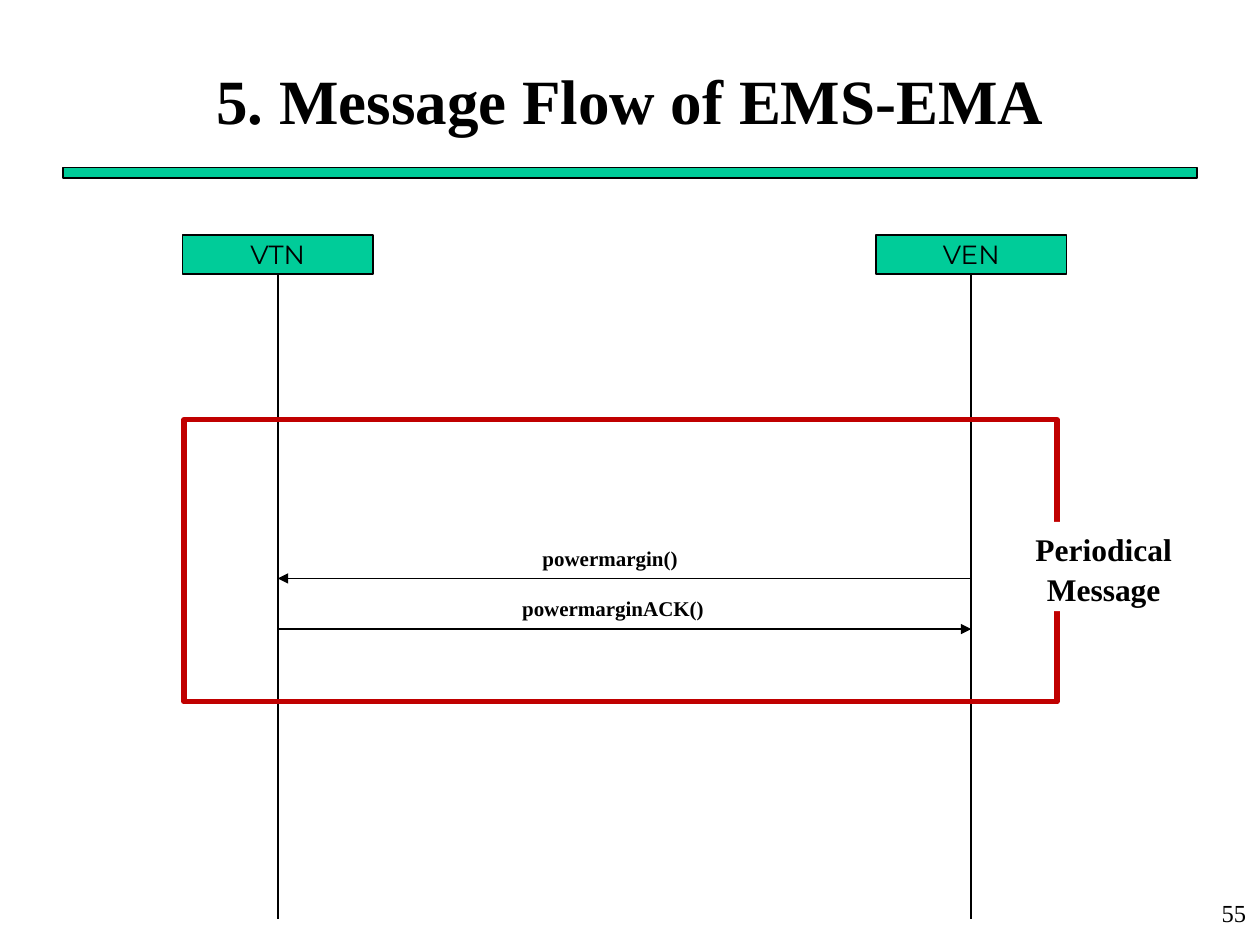
from lxml import etree
from pptx import Presentation
from pptx.dml.color import RGBColor
from pptx.enum.shapes import MSO_CONNECTOR, MSO_SHAPE
from pptx.enum.text import MSO_ANCHOR, PP_ALIGN
from pptx.oxml.ns import qn
from pptx.util import Cm, Pt

BLACK = RGBColor(0x00, 0x00, 0x00)
WHITE = RGBColor(0xFF, 0xFF, 0xFF)
GREEN = RGBColor(0x00, 0xCC, 0x99)
RED = RGBColor(0xC0, 0x00, 0x00)
SERIF = "Times New Roman"
SANS = "Montserrat"


def write(frame, lines, size, font=SERIF, bold=False, align=PP_ALIGN.CENTER,
          anchor=MSO_ANCHOR.TOP, wrap=True):
    frame.word_wrap = wrap
    frame.vertical_anchor = anchor
    for index, line in enumerate(lines):
        paragraph = frame.add_paragraph() if index else frame.paragraphs[0]
        paragraph.alignment = align
        run = paragraph.add_run()
        run.text = line
        run.font.name = font
        run.font.size = Pt(size)
        run.font.bold = bold
        run.font.color.rgb = BLACK


def add_box(slide, left, top, width, height, fill=None, line=None, weight=1):
    box = slide.shapes.add_shape(MSO_SHAPE.RECTANGLE, Cm(left), Cm(top),
                                 Cm(width), Cm(height))
    box.shadow.inherit = False
    if fill is None:
        box.fill.background()
    else:
        box.fill.solid()
        box.fill.fore_color.rgb = fill
    if line is None:
        box.line.fill.background()
    else:
        box.line.color.rgb = line
        box.line.width = Pt(weight)
    return box


def add_label(slide, left, top, width, height, text, size, **style):
    label = slide.shapes.add_textbox(Cm(left), Cm(top), Cm(width), Cm(height))
    write(label.text_frame, [text], size, **style)


def add_line(slide, x1, y1, x2, y2, arrow=False):
    line = slide.shapes.add_connector(MSO_CONNECTOR.STRAIGHT, Cm(x1), Cm(y1),
                                      Cm(x2), Cm(y2))
    line.line.color.rgb = BLACK
    line.line.width = Pt(1)
    if arrow:
        etree.SubElement(line.line._get_or_add_ln(), qn("a:tailEnd"), type="triangle")
    etree.SubElement(line._element.spPr, qn("a:effectLst"))


def add_header(slide, left, top, width):
    add_box(slide, left, top + 2.54, width, 0.21, GREEN, BLACK, 0.75)
    title = slide.shapes.title
    title.left, title.top = Cm(left), Cm(top)
    title.width, title.height = Cm(width), Cm(2.33)
    write(title.text_frame, ["5. Message Flow of EMS-EMA"], 36, bold=True,
          anchor=MSO_ANCHOR.MIDDLE)


def add_sequence(slide, left, top, width, height):
    """Draw two participants, their lifelines and the messages between them."""
    head_width, head_height = 3.84, 0.78
    vtn_x = left + head_width / 2
    ven_x = left + width - head_width / 2
    for name, x in (("VTN", vtn_x), ("VEN", ven_x)):
        head = add_box(slide, x - head_width / 2, top, head_width, head_height,
                       GREEN, BLACK)
        write(head.text_frame, [name], 15, font=SANS,
              anchor=MSO_ANCHOR.MIDDLE, wrap=False)
        add_line(slide, x, top + head_height, x, top + height)

    messages = [("powermargin()", ven_x, vtn_x, 6.92, 12.3, 3.58),
                ("powermarginACK()", vtn_x, ven_x, 7.94, 12.36, 5.05)]
    for text, start, end, offset, center, label_width in messages:
        y = top + offset
        add_label(slide, center - label_width / 2, y - 0.79, label_width, 0.76,
                  text, 12, bold=True)
        add_line(slide, start, y, end, y, arrow=True)


def add_period_frame(slide, left, top, width, height):
    """Outline the repeated messages and set the caption over the right edge."""
    add_box(slide, left, top, width, height, line=RED, weight=3)
    caption = add_box(slide, left + width - 0.71, top + 2.06, 3.3, 1.8, WHITE)
    write(caption.text_frame, ["Periodical", "Message"], 18, bold=True, wrap=False)
    for paragraph in caption.text_frame.paragraphs:
        paragraph.line_spacing = 1.05


def main():
    deck = Presentation()
    deck.slide_width, deck.slide_height = Cm(25.4), Cm(19.05)
    slide = deck.slides.add_slide(deck.slide_layouts[5])
    add_header(slide, 1.27, 0.84, 22.86)
    add_label(slide, 20.09, 17.98, 5.28, 1.07, "55", 14, align=PP_ALIGN.RIGHT)
    add_sequence(slide, 3.68, 4.74, 17.82, 13.78)
    add_period_frame(slide, 3.71, 8.46, 17.6, 5.69)
    deck.save("out.pptx")


if __name__ == "__main__":
    main()
